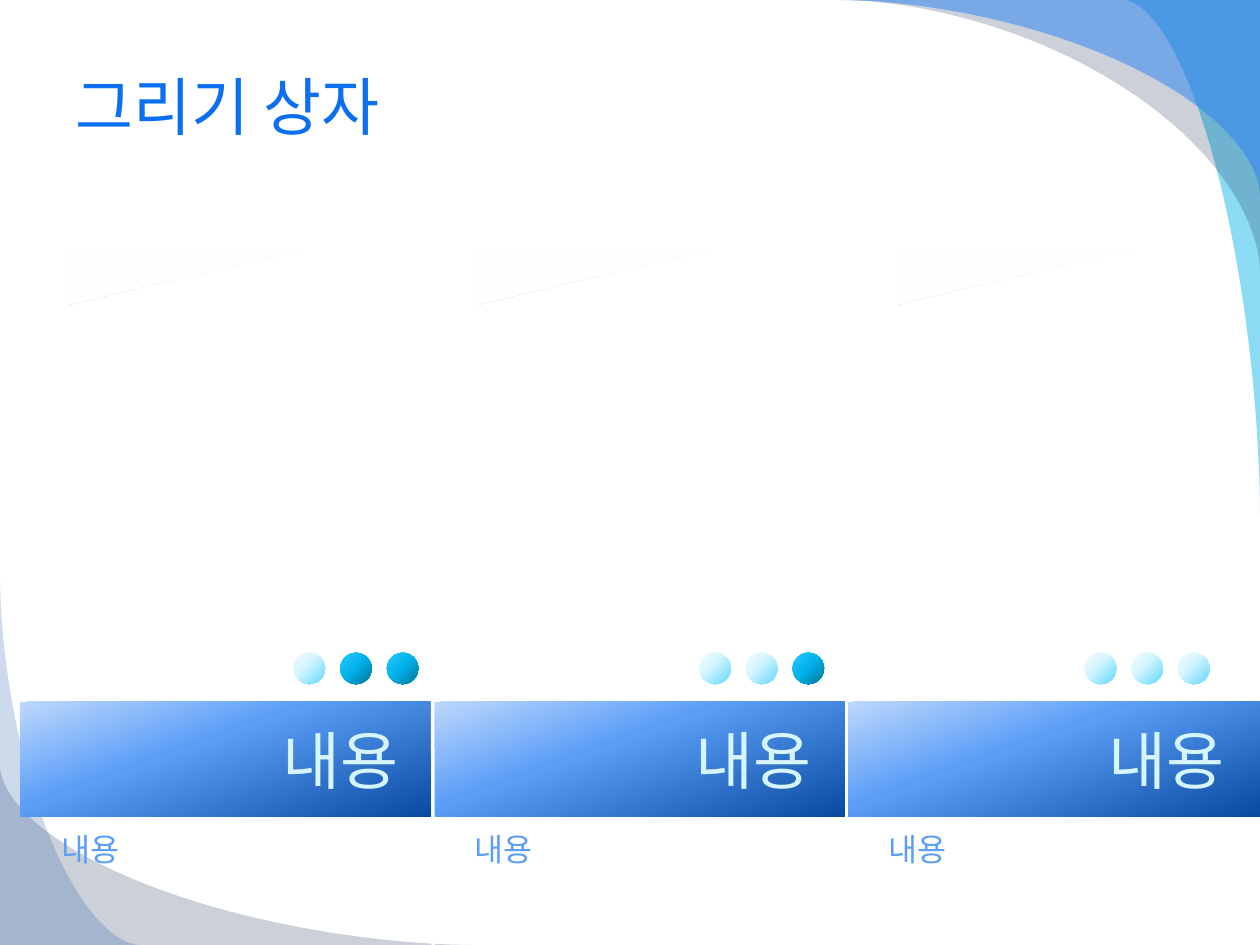
import math

import lxml.etree
import pptx
import pptx.dml.color
import pptx.enum.shapes
import pptx.enum.text
import pptx.oxml.ns
import pptx.util

Inches = pptx.util.Inches
RGB = pptx.dml.color.RGBColor
ANCHOR = pptx.enum.text.MSO_ANCHOR
ALIGN = pptx.enum.text.PP_ALIGN
SHAPE = pptx.enum.shapes.MSO_SHAPE

WHITE = RGB(0xFF, 0xFF, 0xFF)
NAVY = RGB(0x02, 0x17, 0x41)
DEEP_BLUE = RGB(0x08, 0x4A, 0xA1)
BRIGHT_BLUE = RGB(0x24, 0x7F, 0xF4)
TITLE_BLUE = RGB(0x0C, 0x6F, 0xF2)
SOFT_BLUE = RGB(0x5B, 0x9E, 0xF7)
PALE_BLUE = RGB(0xBD, 0xD8, 0xFC)
CYAN = RGB(0x00, 0xB1, 0xE9)
ICE = RGB(0xD7, 0xF5, 0xFF)

BAR_STOPS = [(0, PALE_BLUE, 100), (40, SOFT_BLUE, 100), (100, DEEP_BLUE, 100)]
LIGHT_DOT_STOPS = [(0, RGB(0xEF, 0xFB, 0xFF), 100), (40, ICE, 100),
                   (100, RGB(0x62, 0xD8, 0xFF), 100)]
DARK_DOT_STOPS = [(0, RGB(0x28, 0xCB, 0xFF), 100), (50, CYAN, 100),
                  (100, RGB(0x00, 0x76, 0x9B), 100)]
SHEEN_STOPS = [(0, WHITE, 15), (50, WHITE, 30), (100, WHITE, 50)]

SWOOSHES = [
    ((8.92, 0), (10, 4.08), CYAN, 45),
    ((6.67, 0), (10, 2.15), NAVY, 20),
    ((6.67, 0), (10, 1.55), BRIGHT_BLUE, 49),
    ((3.75, 7.5), (0, 6.08), NAVY, 20),
    ((1.11, 7.5), (0, 4.58), DEEP_BLUE, 20),
]
CURVE_POWER = 1.77
CURVE_STEPS = 48

PANEL_LEFT, PANEL_WIDTH = 0.16, 3.28
PANELS = [
    {"dots_left": 2.33, "dark_dots": 2, "sheen_left": 0.55},
    {"dots_left": 5.55, "dark_dots": 1, "sheen_left": 3.8},
    {"dots_left": 8.61, "dark_dots": 0, "sheen_left": 7.12},
]
DIVIDERS = [((3.44, 7.5), (3.42, 1.59)), ((6.72, 7.5), (6.72, 1.59))]


def apply_format(target, values):
    """Set each named attribute on the target."""
    for name, value in values.items():
        setattr(target, name, value)


def add_alpha(color_element, opacity):
    """Give a colour element an opacity in percent."""
    alpha = lxml.etree.SubElement(color_element, pptx.oxml.ns.qn("a:alpha"))
    alpha.set("val", str(opacity * 1000))


def fill_gradient(shape, stops, angle):
    """Fill a shape with a linear gradient, clockwise angle, and no outline."""
    qn = pptx.oxml.ns.qn
    shape.shadow.inherit = False
    shape.line.fill.background()
    shape.fill.gradient()
    shape.fill.gradient_angle = 360 - angle
    stop_list = shape._element.spPr.find(".//" + qn("a:gsLst"))
    for old_stop in list(stop_list):
        stop_list.remove(old_stop)
    for position, color, opacity in stops:
        stop = lxml.etree.SubElement(stop_list, qn("a:gs"), pos=str(position * 1000))
        stop_color = lxml.etree.SubElement(stop, qn("a:srgbClr"), val=str(color))
        if opacity < 100:
            add_alpha(stop_color, opacity)


def write_text(frame, text, size, color, frame_format, align=ALIGN.LEFT):
    """Write one formatted paragraph into a text frame."""
    apply_format(frame, {"word_wrap": True, **frame_format})
    frame.text = text
    paragraph = frame.paragraphs[0]
    paragraph.alignment = align
    apply_format(paragraph.font, {"name": "Roboto", "size": pptx.util.Pt(size)})
    paragraph.font.color.rgb = color


def add_swoosh(slide, start, end, color, opacity):
    """Fill a slide corner bounded by a superelliptic curve from start to end."""
    (start_x, start_y), (end_x, end_y) = start, end
    curve = []
    for step in range(CURVE_STEPS + 1):
        angle = step / CURVE_STEPS * math.pi / 2
        across = math.sin(angle) ** (2 / CURVE_POWER)
        down = abs(math.cos(angle)) ** (2 / CURVE_POWER)
        curve.append((Inches(start_x + (end_x - start_x) * across),
                      Inches(end_y + (start_y - end_y) * down)))
    builder = slide.shapes.build_freeform(Inches(end_x), Inches(start_y))
    builder.add_line_segments(curve)
    swoosh = builder.convert_to_shape()
    swoosh.shadow.inherit = False
    swoosh.line.fill.background()
    swoosh.fill.solid()
    swoosh.fill.fore_color.rgb = color
    add_alpha(swoosh._element.spPr.find(".//" + pptx.oxml.ns.qn("a:srgbClr")), opacity)


def add_title(slide, left, top, width, height):
    """Place and format the slide title in its box."""
    title = slide.shapes.title
    apply_format(title, {"left": Inches(left), "top": Inches(top),
                         "width": Inches(width), "height": Inches(height)})
    write_text(title.text_frame, "그리기 상자", 36, TITLE_BLUE,
               {"vertical_anchor": ANCHOR.MIDDLE})


def add_bar(slide, left, top, width, height):
    """Draw a gradient bar with its heading."""
    bar = slide.shapes.add_shape(SHAPE.RECTANGLE, Inches(left), Inches(top),
                                 Inches(width), Inches(height))
    fill_gradient(bar, BAR_STOPS, 70)
    write_text(bar.text_frame, "내용", 36, ICE,
               {"vertical_anchor": ANCHOR.MIDDLE, "margin_right": Inches(0.28)},
               ALIGN.RIGHT)


def add_divider(slide, start, end):
    """Draw a white line between two panels."""
    divider = slide.shapes.add_connector(
        pptx.enum.shapes.MSO_CONNECTOR.STRAIGHT,
        *(Inches(value) for value in (*start, *end)))
    divider.line.color.rgb = WHITE
    divider.line.width = pptx.util.Pt(2)
    lxml.etree.SubElement(divider._element.spPr, pptx.oxml.ns.qn("a:effectLst"))


def add_caption(slide, left, top, width, height):
    """Write the caption below a bar."""
    caption = slide.shapes.add_textbox(Inches(left), Inches(top),
                                       Inches(width), Inches(height))
    write_text(caption.text_frame, "내용", 18, SOFT_BLUE,
               {"auto_size": pptx.enum.text.MSO_AUTO_SIZE.SHAPE_TO_FIT_TEXT})


def add_dots(slide, left, top, size, dark_count):
    """Draw three dots, the last of which are dark."""
    for index in range(3):
        dot = slide.shapes.add_shape(SHAPE.OVAL, Inches(left + index * 0.37), Inches(top),
                                     Inches(size), Inches(size))
        fill_gradient(dot, DARK_DOT_STOPS if index >= 3 - dark_count else LIGHT_DOT_STOPS, 45)


def add_sheen(slide, left, top, width, height):
    """Draw a translucent triangle turned to fill the given box."""
    sheen = slide.shapes.add_shape(
        SHAPE.RIGHT_TRIANGLE, Inches(left + (width - height) / 2),
        Inches(top + (height - width) / 2), Inches(height), Inches(width))
    sheen.rotation = 90
    fill_gradient(sheen, SHEEN_STOPS, 90)


def main():
    """Build the slide and save it."""
    deck = pptx.Presentation()
    apply_format(deck, {"slide_width": Inches(10), "slide_height": Inches(7.5)})
    slide = deck.slides.add_slide(deck.slide_layouts[5])
    for swoosh in SWOOSHES:
        add_swoosh(slide, *swoosh)
    add_title(slide, 0.5, 0.33, 9, 1.01)
    lefts = [PANEL_LEFT + index * PANEL_WIDTH for index in range(len(PANELS))]
    for left in lefts:
        add_bar(slide, left, 5.57, PANEL_WIDTH, 0.91)
    for divider in DIVIDERS:
        add_divider(slide, *divider)
    for left, panel in zip(lefts, PANELS):
        add_caption(slide, left + 0.23, 6.54, 2.81, 0.71)
        add_dots(slide, panel["dots_left"], 5.18, 0.25, panel["dark_dots"])
        add_sheen(slide, panel["sheen_left"], 1.97, 1.88, 0.45)
    deck.save("out.pptx")


if __name__ == "__main__":
    main()
